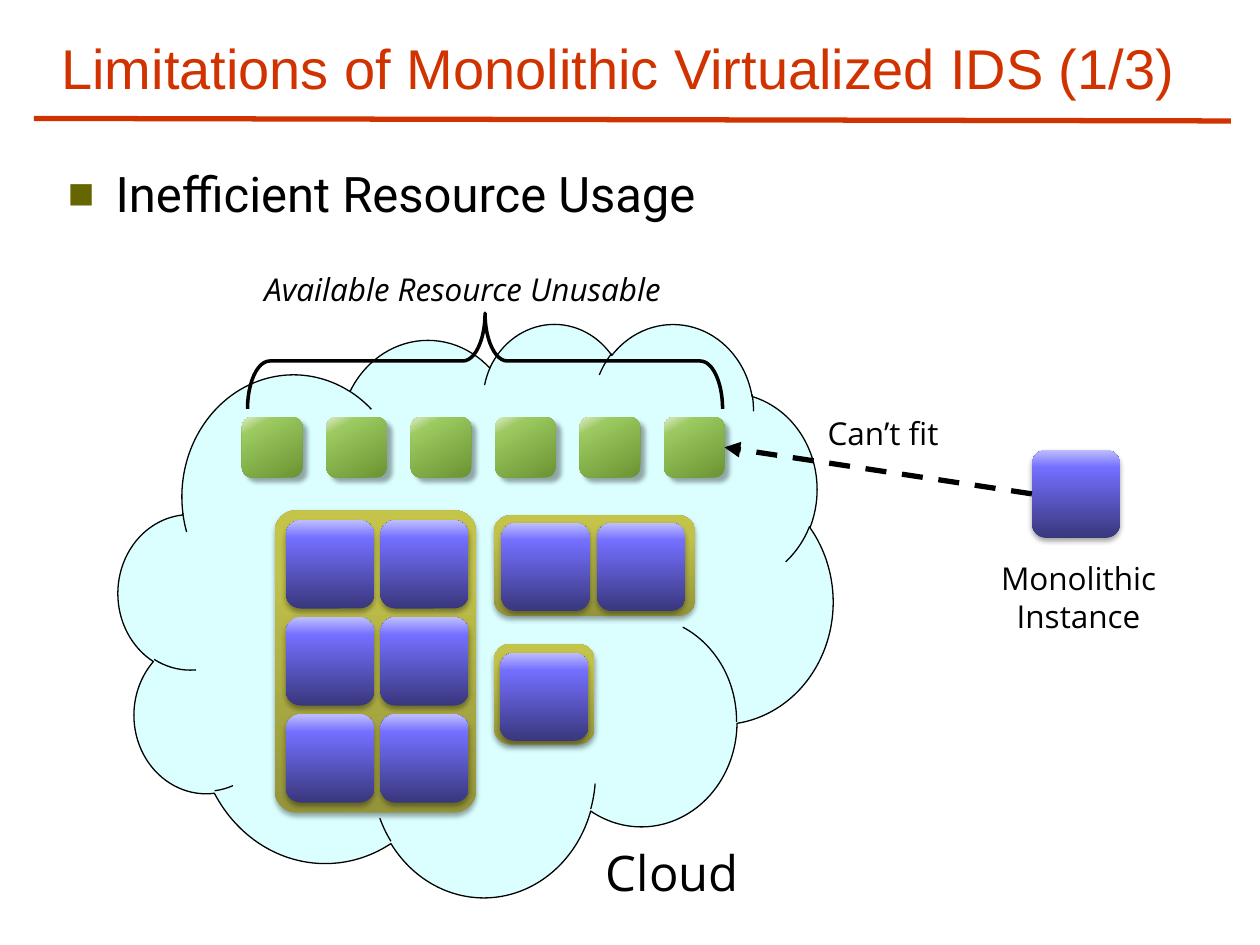
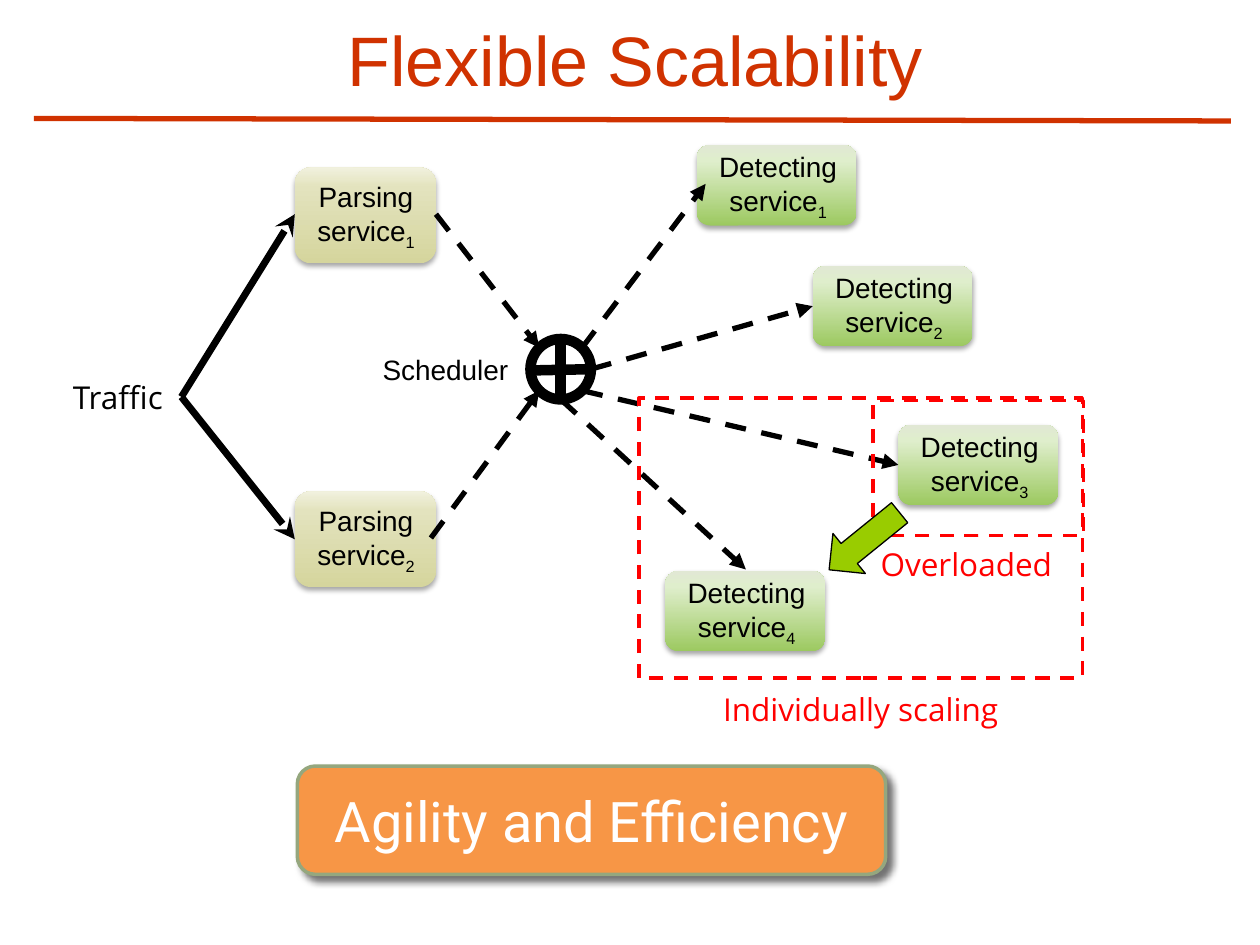
from lxml.etree import SubElement
from pptx import Presentation
from pptx.dml.color import RGBColor
from pptx.enum.dml import MSO_LINE
from pptx.enum.shapes import MSO_CONNECTOR, MSO_SHAPE
from pptx.enum.text import MSO_ANCHOR, MSO_AUTO_SIZE, PP_ALIGN
from pptx.oxml.ns import qn
from pptx.util import Inches, Pt

BLACK = RGBColor(0x00, 0x00, 0x00)
WHITE = RGBColor(0xFF, 0xFF, 0xFF)
RED = RGBColor(0xFF, 0x00, 0x00)
RUST = RGBColor(0xD0, 0x32, 0x00)
BULLET = RGBColor(0x66, 0x66, 0x00)
SKY = RGBColor(0xDB, 0xFF, 0xFF)
LIME = RGBColor(0x99, 0xCC, 0x00)
ORANGE = RGBColor(0xF7, 0x96, 0x46)
SAGE = RGBColor(0x95, 0xA7, 0x7E)

# Gradient colours at 0, 80 and 100 percent, dark to light
STOPS = (0, 80, 100)
PURPLE = (RGBColor(0x39, 0x37, 0x7C), RGBColor(0x74, 0x6F, 0xFF), RGBColor(0xBE, 0xBE, 0xFF))
OLIVE = (RGBColor(0x94, 0x94, 0x3A), RGBColor(0xC1, 0xC1, 0x4C), RGBColor(0xC4, 0xC4, 0x4A))
GREEN = (RGBColor(0x6A, 0x94, 0x32), RGBColor(0x9C, 0xC9, 0x60), RGBColor(0xDF, 0xEE, 0xCC))
SAND = (RGBColor(0xD5, 0xD5, 0x9D), RGBColor(0xE3, 0xE3, 0xBE), RGBColor(0xF1, 0xF1, 0xDE))
MINT = (RGBColor(0x9C, 0xC9, 0x60), RGBColor(0xDF, 0xEE, 0xCC), RGBColor(0xE1, 0xE8, 0xD4))

# Shadows: opacity in percent, blur and distance in points, direction in degrees
SOFT = (35, 3.1, 1.8, 90)
CORNER = (35, 2.6, 4, 45)
STRONG = (55, 4, 4, 45)


def add_tile(page, box, colours, shadow=SOFT, angle=90):
    """Add a rounded, shadowed tile with a solid or three-stop gradient fill."""
    tile = page.shapes.add_shape(MSO_SHAPE.ROUNDED_RECTANGLE, *map(Inches, box))
    tile.line.fill.background()
    if len(colours) == 1:
        tile.fill.solid()
        tile.fill.fore_color.rgb = colours[0]
    else:
        tile.fill.gradient()
        tile.fill.gradient_angle = angle
        stop_list = next(tile._element.spPr.iter(qn("a:gsLst")))
        for stop in list(stop_list):
            stop_list.remove(stop)
        for position, colour in zip(STOPS, colours):
            stop = SubElement(stop_list, qn("a:gs"), pos=str(position * 1000))
            SubElement(stop, qn("a:srgbClr"), val=str(colour))
    tile.shadow.inherit = False
    opacity, blur, distance, direction = shadow
    outer = SubElement(tile._element.spPr.find(qn("a:effectLst")), qn("a:outerShdw"),
                       blurRad=str(Pt(blur)), dist=str(Pt(distance)),
                       dir=str(direction * 60000), algn="ctr", rotWithShape="0")
    colour = SubElement(outer, qn("a:srgbClr"), val=str(BLACK))
    SubElement(colour, qn("a:alpha"), val=str(opacity * 1000))
    return tile


def add_label(page, box, text, size, font="Open Sans", colour=BLACK,
              align=PP_ALIGN.LEFT, wrap=False, subscript=""):
    """Add a text box in one style, with an optional subscript at its end."""
    label = page.shapes.add_textbox(*map(Inches, box))
    frame = label.text_frame
    frame.text = text
    frame.word_wrap = wrap
    frame.auto_size = MSO_AUTO_SIZE.NONE if wrap else MSO_AUTO_SIZE.SHAPE_TO_FIT_TEXT
    if subscript:
        span = frame.paragraphs[-1].add_run()
        span.text = subscript
        span._r.get_or_add_rPr().set("baseline", "-25000")
    for para in frame.paragraphs:
        para.alignment = align
        for span in para.runs:
            span.font.size = Pt(size)
            span.font.name = font
            span.font.color.rgb = colour
    return label


deck = Presentation()
deck.slide_width, deck.slide_height = Inches(10), Inches(7.5)
limits = deck.slides.add_slide(deck.slide_layouts[6])
scaling = deck.slides.add_slide(deck.slide_layouts[6])

# Titles
for page, box, text, size in (
    (limits, (0, 0.18, 9.82, 0.67), "Limitations of Monolithic Virtualized IDS (1/3)", 32),
    (scaling, (0.08, 0.11, 9.92, 0.74), "Flexible Scalability", 40),
):
    title = add_label(page, box, text, size, "Arial", RUST, PP_ALIGN.CENTER, True)
    title.text_frame.vertical_anchor = MSO_ANCHOR.BOTTOM

# Limitations: cloud, bullet line and brace
cloud = limits.shapes.add_shape(MSO_SHAPE.CLOUD, *map(Inches, (0.94, 2.56, 5.67, 4.55)))
cloud.fill.solid()
cloud.fill.fore_color.rgb = SKY
cloud.line.color.rgb = BLACK
cloud.line.width = Pt(0.75)
cloud.shadow.inherit = False

body = add_label(limits, (0.44, 1.25, 8.86, 0.67), "Inefficient Resource Usage", 28,
                 "Roboto", wrap=True)
properties = body.text_frame.paragraphs[0]._p.get_or_add_pPr()
properties.set("marL", str(Inches(0.38)))
properties.set("indent", str(Inches(-0.38)))
bullet_colour = SubElement(properties, qn("a:buClr"))
SubElement(bullet_colour, qn("a:srgbClr"), val=str(BULLET))
SubElement(properties, qn("a:buSzPct"), val="90000")
SubElement(properties, qn("a:buFont"), typeface="Arial")
SubElement(properties, qn("a:buChar"), char="■")

brace = limits.shapes.add_shape(MSO_SHAPE.RIGHT_BRACE, *map(Inches, (3.47, 0.98, 0.76, 3.77)))
brace.rotation = 270
brace.adjustments[0] = 0.232
brace.fill.background()
brace.line.color.rgb = BLACK
brace.line.width = Pt(2)
brace.shadow.inherit = False

# Limitations: hosts, monolithic instances and unused resources
host = add_tile(limits, (2.18, 4.05, 1.6, 2.4), OLIVE)
host.adjustments[0] = 0.109
add_tile(limits, (3.92, 4.09, 1.6, 0.8), OLIVE)
add_tile(limits, (3.92, 5.11, 0.8, 0.8), OLIVE)

instances = [(2.27 + 0.75 * column, 4.13 + 0.77 * row) for row in range(3) for column in range(2)]
instances += [(3.98, 4.15), (4.74, 4.15), (3.97, 5.18), (8.19, 3.57)]
for left, top in instances:
    add_tile(limits, (left, top, 0.7, 0.7), PURPLE)
for column in range(6):
    add_tile(limits, (1.92 + 0.67 * column, 3.31, 0.48, 0.48), GREEN, CORNER, 120)

# Scalability: services
for number, top in enumerate((1.33, 3.9), 1):
    add_tile(scaling, (2.34, top, 1.12, 0.76), SAND)
    add_label(scaling, (2.39, top + 0.05, 1.03, 0.64), "Parsing service", 16, "Arial",
              align=PP_ALIGN.CENTER, wrap=True, subscript=str(number))
for number, (left, top) in enumerate(((5.53, 1.15), (6.45, 2.11), (7.13, 3.37), (5.28, 4.53)), 1):
    add_tile(scaling, (left, top, 1.27, 0.64), MINT)
    add_label(scaling, (left + 0.07, top - 0.01, 1.15, 0.64), "Detecting service", 16, "Arial",
              align=PP_ALIGN.CENTER, wrap=True, subscript=str(number))

# Title rules, arrows and the cross of the scheduler
rule = (0.27, 0.94, 9.77, 0.96)
lines = [
    (limits, rule, RUST, 3, ""),
    (scaling, rule, RUST, 3, ""),
    (limits, (8.19, 3.92, 5.75, 3.55), BLACK, 3, "triangle"),
    (scaling, (1.44, 3.15, 2.34, 1.7), BLACK, 4, "stealth"),
    (scaling, (1.44, 3.15, 2.34, 4.28), BLACK, 4, "stealth"),
    (scaling, (4.23, 2.94, 4.69, 2.93), BLACK, 6, ""),
    (scaling, (4.45, 3.17, 4.45, 2.69), BLACK, 6, ""),
]
flows = (
    (3.46, 1.7, 4.28, 2.76), (3.42, 4.27, 4.28, 3.1), (4.45, 3.17, 5.92, 4.52),
    (4.69, 2.93, 6.45, 2.43), (4.62, 2.76, 5.6, 1.46), (4.62, 3.1, 7.13, 3.69),
)
lines += [(scaling, ends, BLACK, 3, "triangle") for ends in flows]
for page, ends, colour, width, arrow in lines:
    line = page.shapes.add_connector(MSO_CONNECTOR.STRAIGHT, *map(Inches, ends))
    line.line.color.rgb = colour
    line.line.width = Pt(width)
    if arrow == "triangle":
        line.line.dash_style = MSO_LINE.DASH
    if arrow:
        SubElement(line.line._get_or_add_ln(), qn("a:tailEnd"), type=arrow)
    SubElement(line._element.spPr, qn("a:effectLst"))

# Scalability: scheduler ring and dashed frames
for kind, box, colour, width, dash in (
    (MSO_SHAPE.OVAL, (4.21, 2.69, 0.48, 0.48), BLACK, 6, None),
    (MSO_SHAPE.RECTANGLE, (6.93, 3.18, 1.67, 1.07), RED, 2, MSO_LINE.DASH),
    (MSO_SHAPE.RECTANGLE, (5.07, 3.16, 3.52, 2.22), RED, 2, MSO_LINE.DASH),
):
    outline = scaling.shapes.add_shape(kind, *map(Inches, box))
    outline.fill.background()
    outline.line.color.rgb = colour
    outline.line.width = Pt(width)
    outline.line.dash_style = dash
    outline.shadow.inherit = False

scale_arrow = scaling.shapes.add_shape(MSO_SHAPE.RIGHT_ARROW, *map(Inches, (6.5, 4.09, 0.72, 0.41)))
scale_arrow.rotation = 141
scale_arrow.fill.solid()
scale_arrow.fill.fore_color.rgb = LIME
scale_arrow.line.color.rgb = BLACK
scale_arrow.line.width = Pt(0.75)
scale_arrow.shadow.inherit = False

# Captions
add_label(limits, (7.82, 4.39, 1.48, 0.71), "Monolithic\nInstance", 18, align=PP_ALIGN.CENTER)
unusable = add_label(limits, (2, 2.09, 3.92, 0.4), "Available Resource Unusable", 18)
unusable.text_frame.paragraphs[0].runs[0].font.italic = True
add_label(limits, (4.71, 6.64, 1.32, 0.57), "Cloud", 28)
add_label(limits, (6.47, 3.24, 1.21, 0.4), "Can’t fit", 18)
add_label(scaling, (0.48, 2.95, 0.97, 0.4), "Traffic", 18)
add_label(scaling, (2.93, 2.75, 1.21, 0.37), "Scheduler", 16, "Arial",
          align=PP_ALIGN.CENTER, wrap=True)
add_label(scaling, (6.89, 4.28, 1.64, 0.4), "Overloaded", 18, colour=RED)
add_label(scaling, (5.64, 5.43, 2.63, 0.4), "Individually scaling", 18, colour=RED)

# Scalability: closing banner
banner = add_tile(scaling, (2.36, 6.08, 4.67, 0.86), (ORANGE,), STRONG)
banner.line.color.rgb = SAGE
banner.line.width = Pt(2)
banner.text_frame.text = "Agility and Efficiency"
banner.text_frame.vertical_anchor = MSO_ANCHOR.MIDDLE
para = banner.text_frame.paragraphs[0]
para.alignment = PP_ALIGN.CENTER
span = para.runs[0]
span.font.size = Pt(32)
span.font.name = "Roboto"
span.font.color.rgb = WHITE

deck.save("out.pptx")
